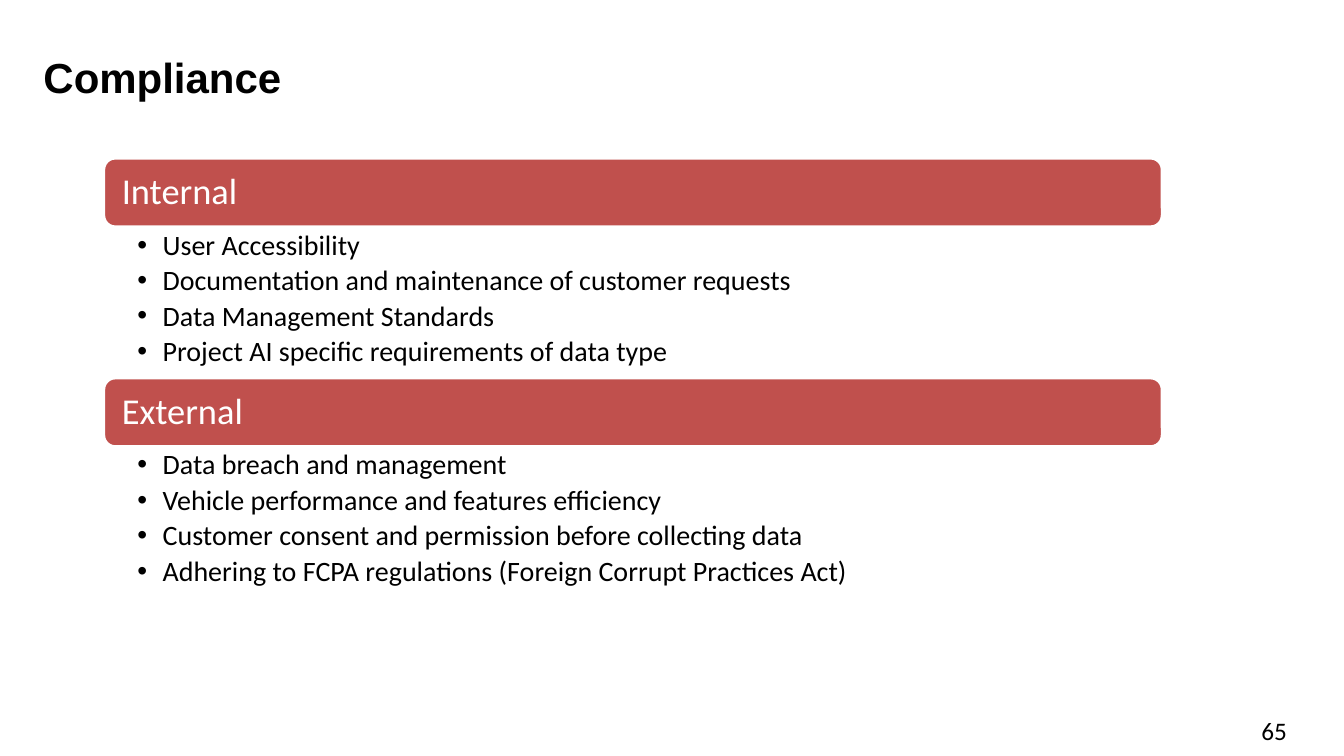
from dataclasses import dataclass

import pptx
import pptx.dml.color
import pptx.enum.shapes
import pptx.enum.text
import pptx.oxml.ns
import pptx.util
from lxml import etree

Pt = pptx.util.Pt
MIDDLE = pptx.enum.text.MSO_ANCHOR.MIDDLE
TOP = pptx.enum.text.MSO_ANCHOR.TOP

LEFT, FIRST_TOP, WIDTH = 74.16, 113, 756
HEADER_H, LIST_H = 49, 108


@dataclass
class Section:
    heading: str
    items: list[str]


SECTIONS = [
    Section("Internal", [
        "User Accessibility",
        "Documentation and maintenance of customer requests",
        "Data Management Standards",
        "Project AI specific requirements of data type",
    ]),
    Section("External", [
        "Data breach and management",
        "Vehicle performance and features efficiency",
        "Customer consent and permission before collecting data",
        "Adhering to FCPA regulations (Foreign Corrupt Practices Act)",
    ]),
]


def rgb(value: str) -> pptx.dml.color.RGBColor:
    return pptx.dml.color.RGBColor.from_string(value)


def add_bullet(p) -> None:
    pPr = p._p.get_or_add_pPr()
    pPr.set("marL", str(Pt(18)))
    pPr.set("indent", str(-Pt(18)))
    etree.SubElement(pPr, pptx.oxml.ns.qn("a:buFont")).set("typeface", "Arial")
    etree.SubElement(pPr, pptx.oxml.ns.qn("a:buChar")).set("char", "•")


def write(sp, lines: list[str], *, size: float, color: str = "000000",
          font: str = "Calibri", bold: bool = False, bullets: bool = False,
          spacing: float = 1.0, after: float = 0, anchor=TOP,
          insets: tuple[float, float, float, float] = (7.2, 3.6, 7.2, 3.6)) -> None:
    """Fill a shape with one paragraph per line; insets are left, top, right, bottom."""
    tf = sp.text_frame
    tf.word_wrap = True
    tf.vertical_anchor = anchor
    tf.margin_left, tf.margin_top, tf.margin_right, tf.margin_bottom = map(Pt, insets)
    for i, line in enumerate(lines):
        p = tf.add_paragraph() if i else tf.paragraphs[0]
        p.alignment = pptx.enum.text.PP_ALIGN.LEFT
        p.line_spacing = spacing
        p.space_after = Pt(after)
        if bullets:
            p.level = 1
            add_bullet(p)
        r = p.add_run()
        r.text = line
        r.font.name = font
        r.font.size = Pt(size)
        r.font.bold = bold
        r.font.color.rgb = rgb(color)


def add_text(s, x: float, y: float, w: float, h: float, lines: list[str], **fmt) -> None:
    write(s.shapes.add_textbox(Pt(x), Pt(y), Pt(w), Pt(h)), lines, **fmt)


def add_section(s, section: Section, top: float) -> None:
    sp = s.shapes.add_shape(pptx.enum.shapes.MSO_SHAPE.ROUNDED_RECTANGLE,
                            Pt(LEFT), Pt(top), Pt(WIDTH), Pt(HEADER_H))
    sp.shadow.inherit = False
    sp.fill.solid()
    sp.fill.fore_color.rgb = rgb("C0504D")
    sp.line.color.rgb = rgb("FFFFFF")
    sp.line.width = Pt(2)
    write(sp, [section.heading], size=26, color="FFFFFF", spacing=0.9,
          anchor=MIDDLE, insets=(10.5, 8, 10.5, 8))
    add_text(s, LEFT, top + HEADER_H, WIDTH, LIST_H, section.items, size=20,
             bullets=True, spacing=0.9, after=3.75, insets=(24, 3, 14, 3))


def main() -> None:
    prs = pptx.Presentation()
    prs.slide_width, prs.slide_height = Pt(960), Pt(540)
    s = prs.slides.add_slide(prs.slide_layouts[6])
    add_text(s, 24, 33, 767, 42.5, ["Compliance"], size=30, font="Arial", bold=True)
    for i, section in enumerate(SECTIONS):
        add_section(s, section, FIRST_TOP + i * (HEADER_H + LIST_H))
    add_text(s, 894, 507.6, 50, 29, ["65"], size=18)
    prs.save("out.pptx")


if __name__ == "__main__":
    main()
